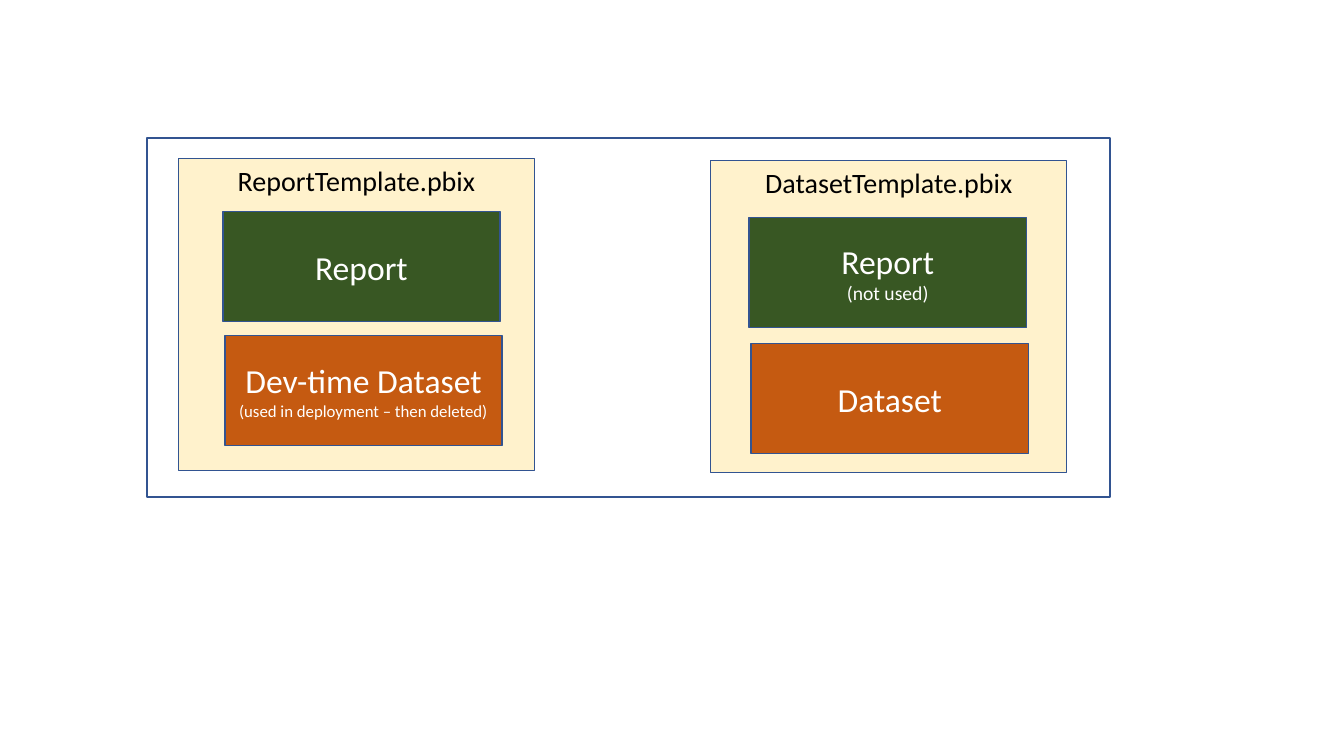
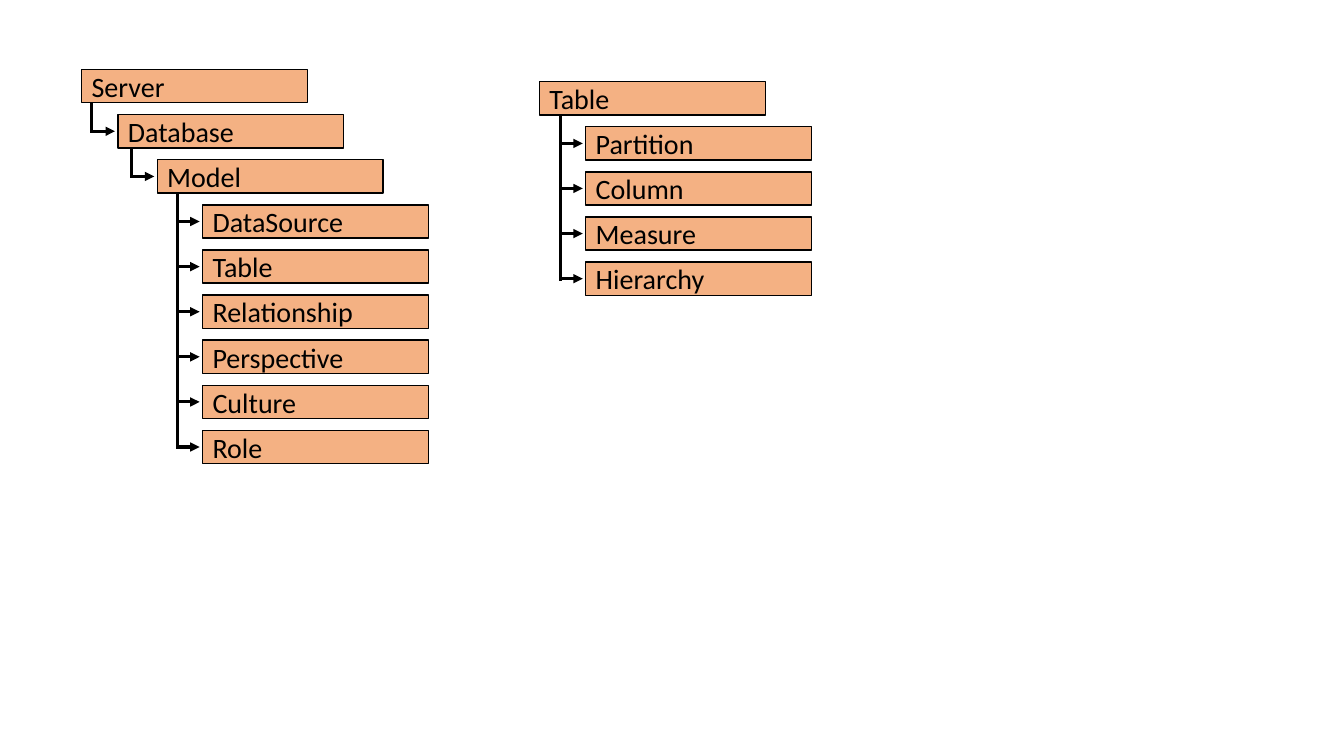
from pptx import Presentation
from pptx.dml.color import RGBColor
from pptx.enum.shapes import MSO_CONNECTOR, MSO_SHAPE
from pptx.enum.text import MSO_ANCHOR, PP_ALIGN
from pptx.oxml.ns import qn
from pptx.util import Inches, Pt
from lxml.etree import SubElement

COLORS = {"outline": "325491", "file": "FFF2CC", "report": "385723",
          "dataset": "C55A11", "node": "F4B183", "black": "000000", "white": "FFFFFF"}
FONT = "Calibri"

prs = Presentation()
prs.slide_width, prs.slide_height = Inches(13.33), Inches(7.5)
blank = prs.slide_layouts[6]


def add_box(slide, place, fill, line, lines=(), color="black",
            align=PP_ALIGN.CENTER, anchor=MSO_ANCHOR.MIDDLE):
    """Outlined rectangle; lines holds (text, size) pairs."""
    box = slide.shapes.add_shape(MSO_SHAPE.RECTANGLE, *map(Inches, place))
    box.shadow.inherit = False
    if fill:
        box.fill.solid()
        box.fill.fore_color.rgb = RGBColor.from_string(COLORS[fill])
    else:
        box.fill.background()
    box.line.color.rgb = RGBColor.from_string(COLORS[line])
    box.line.width = Pt(1)
    frame = box.text_frame
    frame.word_wrap = True
    frame.vertical_anchor = anchor
    for i, (text, size) in enumerate(lines):
        paragraph = frame.add_paragraph() if i else frame.paragraphs[0]
        paragraph.text = text
        paragraph.alignment = align
        paragraph.font.name = FONT
        paragraph.font.size = Pt(size)
        paragraph.font.color.rgb = RGBColor.from_string(COLORS[color])


def add_line(slide, start, end, arrow=False):
    line = slide.shapes.add_connector(MSO_CONNECTOR.STRAIGHT, *map(Inches, start + end))
    line.line.color.rgb = RGBColor.from_string(COLORS["black"])
    line.line.width = Pt(2.25)
    if arrow:
        SubElement(line.line._get_or_add_ln(), qn("a:tailEnd"), type="triangle")
    SubElement(line._element.spPr, qn("a:effectLst"))


# Slide 1: template files and what they hold
templates = prs.slides.add_slide(blank)
add_box(templates, (1.46, 1.37, 9.55, 3.56), None, "outline")

files = [
    ("DatasetTemplate.pbix", 7.05, 1.59, [
        ("dataset", 7.45, 3.41, [("Dataset", 24)]),
        ("report", 7.43, 2.16, [("Report", 24), ("(not used)", 14)])]),
    ("ReportTemplate.pbix", 1.77, 1.57, [
        ("report", 2.21, 2.1, [("Report", 24)]),
        ("dataset", 2.23, 3.33, [("Dev-time Dataset", 24),
                                 ("(used in deployment – then deleted)", 12)])]),
]
for file_name, left, top, parts in files:
    add_box(templates, (left, top, 3.53, 3.1), "file", "outline",
            [(file_name, 20)], anchor=MSO_ANCHOR.TOP)
    for fill, part_left, part_top, lines in parts:
        add_box(templates, (part_left, part_top, 2.75, 1.09), fill, "outline", lines, "white")

# Slide 2: object hierarchies
hierarchy = prs.slides.add_slide(blank)
NODE_W, NODE_H = 2.24, 0.33
ROW_STEP = 3.58 / 8
ARROW_GAP = 0.03

# Each tree: top, (left, label) per row, (trunk x, parent row, child rows) per branch
trees = [
    (0.69,
     [(0.81, "Server"), (1.17, "Database"), (1.56, "Model")]
     + [(2.01, label) for label in ("DataSource", "Table", "Relationship",
                                    "Perspective", "Culture", "Role")],
     [(0.91, 0, [1]), (1.3, 1, [2]), (1.76, 2, range(3, 9))]),
    (0.81,
     [(5.35, "Table")]
     + [(5.81, label) for label in ("Partition", "Column", "Measure", "Hierarchy")],
     [(5.56, 0, range(1, 5))]),
]
for top, nodes, branches in trees:
    for row, (left, label) in enumerate(nodes):
        add_box(hierarchy, (left, top + row * ROW_STEP, NODE_W, NODE_H), "node", "black",
                [(label, 20)], align=PP_ALIGN.LEFT)
    for trunk, parent, children in branches:
        start = top + parent * ROW_STEP + NODE_H
        for row in children:
            middle = top + row * ROW_STEP + NODE_H / 2
            # Trunk runs on by half a line width to close the corner
            add_line(hierarchy, (trunk, start), (trunk, middle + 0.02))
            add_line(hierarchy, (trunk, middle), (nodes[row][0] - ARROW_GAP, middle), arrow=True)
            start = middle

prs.save("out.pptx")
